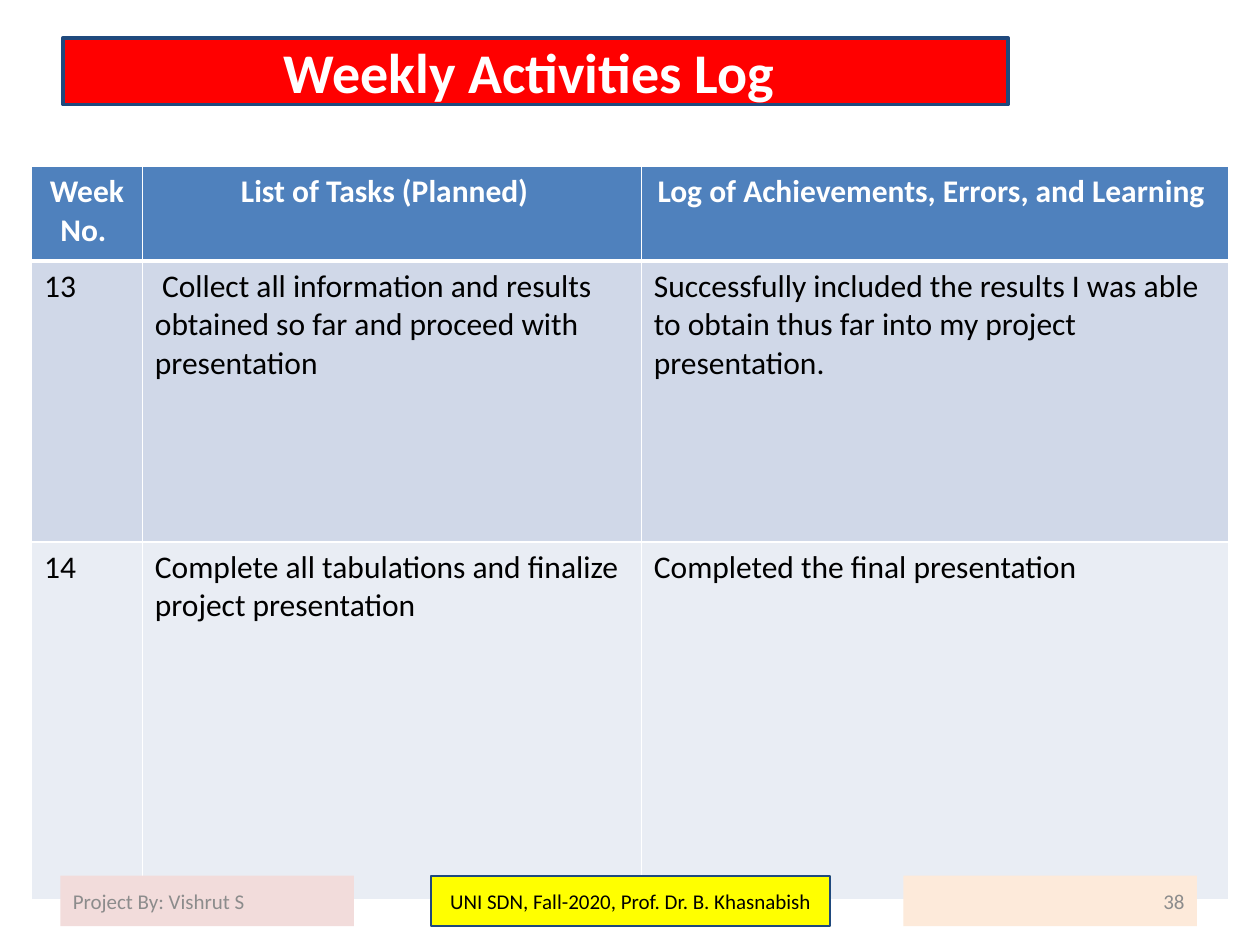
from lxml import etree
from pptx import Presentation
from pptx import util as u
from pptx.dml.color import RGBColor
from pptx.enum import shapes, text
from pptx.oxml.ns import qn

COLORS = {
    "title": "FF0000", "navy": "1F497D", "white": "FFFFFF", "black": "000000",
    "header": "4F81BD", "odd_week": "D0D8E8", "even_week": "E9EDF4",
    "author": "F2DCDB", "course": "FFFF00", "number": "FDEADA", "grey": "8C8C8C",
}
ALIGN = text.PP_ALIGN


def rgb(name):
    return RGBColor.from_string(COLORS[name])


class SlideBuilder:
    """Holds the font and the slide that elements are added to."""

    def __init__(self, slide, font="Calibri"):
        self.slide = slide
        self.font = font

    def add_wording(self, frame, wording, size, color, bold=False,
                    align=ALIGN.LEFT):
        frame.word_wrap = True
        paragraph = frame.paragraphs[0]
        paragraph.alignment = align
        run = paragraph.add_run()
        run.text = wording
        style = {"name": self.font, "size": u.Pt(size), "bold": bold}
        for key, value in style.items():
            setattr(run.font, key, value)
        run.font.color.rgb = rgb(color)

    def banner(self, box, wording, fill, outline=0, **style):
        """Add a filled rectangle; outline is a width in points, 0 for none."""
        shape = self.slide.shapes.add_shape(
            shapes.MSO_SHAPE.RECTANGLE, *map(u.Inches, box))
        shape.shadow.inherit = False
        shape.fill.solid()
        shape.fill.fore_color.rgb = rgb(fill)
        if outline:
            shape.line.color.rgb = rgb("navy")
            shape.line.width = u.Pt(outline)
        else:
            shape.line.fill.background()
        shape.text_frame.vertical_anchor = text.MSO_ANCHOR.MIDDLE
        self.add_wording(shape.text_frame, wording, **style)

    def border(self, cell, bottom):
        """Draw white edges, 1 pt wide except for the bottom one."""
        properties = cell._tc.get_or_add_tcPr()
        widths = {"a:lnL": 1, "a:lnR": 1, "a:lnT": 1, "a:lnB": bottom}
        for position, (tag, width) in enumerate(widths.items()):
            edge = etree.Element(qn(tag), w=str(u.Pt(width)))
            fill = etree.SubElement(edge, qn("a:solidFill"))
            etree.SubElement(fill, qn("a:srgbClr"), val=COLORS["white"])
            properties.insert(position, edge)

    def table(self, left, top, widths, heights, rows):
        grid = self.slide.shapes.add_table(
            len(rows), len(widths), u.Inches(left), u.Inches(top),
            u.Inches(sum(widths)), u.Inches(sum(heights))).table
        for column, width in zip(grid.columns, widths):
            column.width = u.Inches(width)
        for row, height in zip(grid.rows, heights):
            row.height = u.Inches(height)
        for r, row in enumerate(rows):
            header = r == 0
            fill = "header" if header else "odd_week" if r % 2 else "even_week"
            for c, wording in enumerate(row):
                cell = grid.cell(r, c)
                cell.fill.solid()
                cell.fill.fore_color.rgb = rgb(fill)
                self.border(cell, bottom=3 if header else 1)
                self.add_wording(cell.text_frame, wording, 18,
                                 "white" if header else "black", header,
                                 ALIGN.CENTER if header else ALIGN.LEFT)


def main():
    deck = Presentation()
    deck.slide_width, deck.slide_height = u.Inches(10), u.Inches(7.5)
    page = SlideBuilder(deck.slides.add_slide(deck.slide_layouts[6]))

    page.banner((0.5, 0.3, 7.5, 0.53), "Weekly Activities Log ", "title", 2,
                size=32, color="white", bold=True, align=ALIGN.CENTER)

    page.table(0.25, 1.32, [0.88, 3.96, 4.66], [0.75, 2.23, 2.84], [
        ["Week No. ", "List of Tasks (Planned)  ",
         "Log of Achievements, Errors, and Learning "],
        ["13",
         " Collect all information and results obtained so far and proceed "
         "with presentation",
         "Successfully included the results I was able to obtain thus far "
         "into my project presentation."],
        ["14", "Complete all tabulations and finalize project presentation",
         "Completed the final presentation"],
    ])

    footer = [
        (0.48, 2.33, "Project By: Vishrut S", "author", 0, "grey", ALIGN.LEFT),
        (3.42, 3.17, "UNI SDN, Fall-2020, Prof. Dr. B. Khasnabish", "course", 1,
         "black", ALIGN.CENTER),
        (7.17, 2.33, "38", "number", 0, "grey", ALIGN.RIGHT),
    ]
    for left, width, wording, fill, outline, color, align in footer:
        page.banner((left, 6.95, width, 0.4), wording, fill, outline,
                    size=12, color=color, align=align)

    deck.save("out.pptx")


if __name__ == "__main__":
    main()
